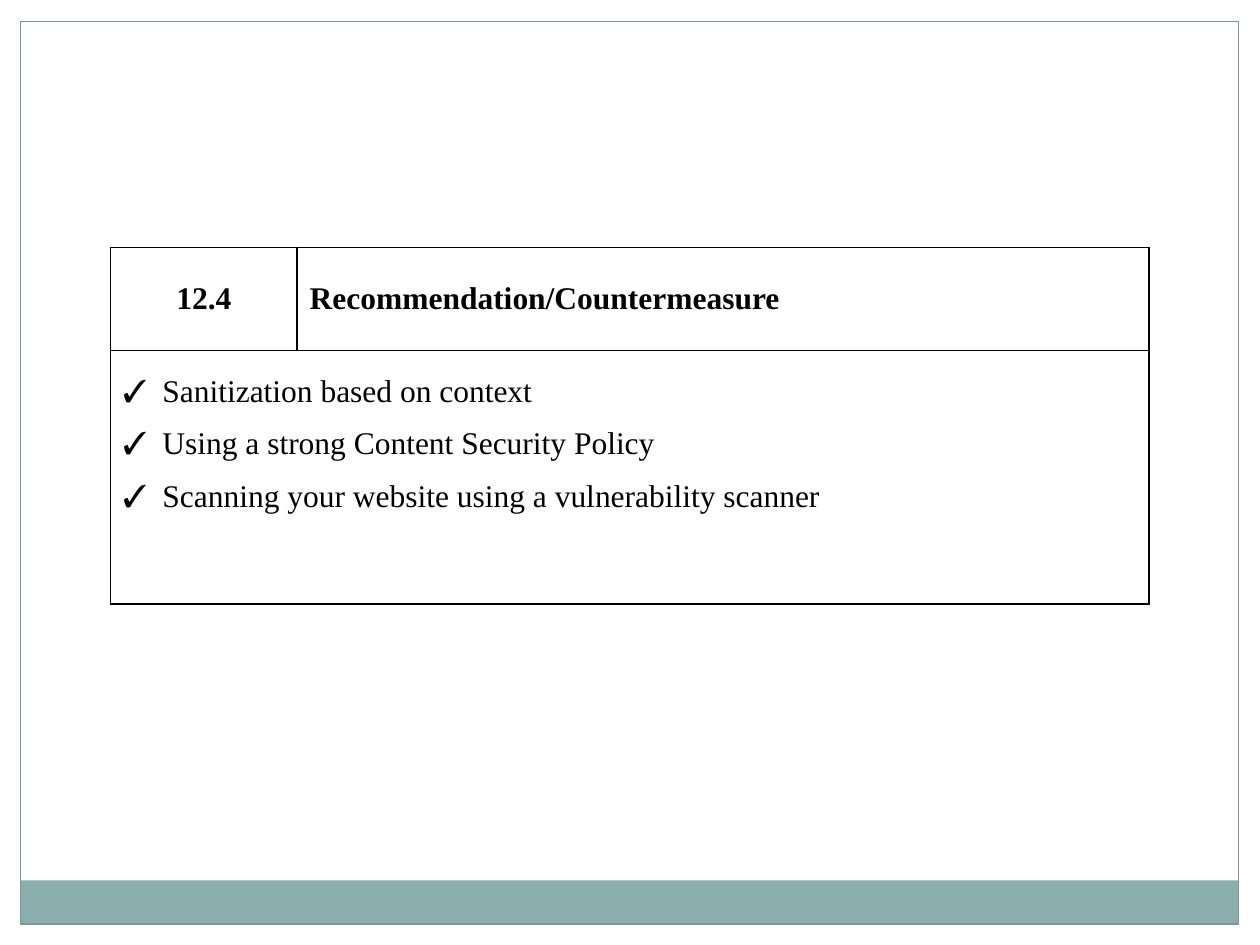
from lxml import etree
from pptx import Presentation
from pptx.dml.color import RGBColor
from pptx.enum.shapes import MSO_SHAPE
from pptx.enum.text import MSO_ANCHOR, PP_ALIGN
from pptx.oxml.ns import qn
from pptx.util import Cm, Pt

RECTANGLE = MSO_SHAPE.RECTANGLE
CENTER, LEFT = PP_ALIGN.CENTER, PP_ALIGN.LEFT
MIDDLE, TOP = MSO_ANCHOR.MIDDLE, MSO_ANCHOR.TOP

# Content
SECTION_NUMBER = "12.4"
SECTION_TITLE = "Recommendation/Countermeasure"
COUNTERMEASURES = [
    "Sanitization based on context",
    "Using a strong Content Security Policy",
    "Scanning your website using a vulnerability scanner",
]

COLORS = {"page": "FFFFFF", "band": "8CADAE", "frame": "7C999A", "ink": "000000"}
FONT = "Times New Roman"
PAGE_WIDTH, PAGE_HEIGHT = Cm(25.4), Cm(19.05)
MARGIN = Cm(0.43)
COLUMN_WIDTHS = [Cm(3.76), Cm(17.17)]
ROW_HEIGHTS = [Cm(2.08), Cm(5.11)]
BULLET_INDENT = Cm(0.79)

# Page margins and bottom band: left, top, width, height, color
PANELS = [
    (0, 0, PAGE_WIDTH, MARGIN, "page"),
    (PAGE_WIDTH - MARGIN, 0, MARGIN, PAGE_HEIGHT, "page"),
    (0, 0, MARGIN, PAGE_HEIGHT, "page"),
    (Cm(0.42), Cm(17.75), Cm(24.54), Cm(0.87), "band"),
]


def rgb(name):
    return RGBColor.from_string(COLORS[name])


def add_rectangle(left, top, width, height, fill=None, line=None):
    rectangle = slide.shapes.add_shape(RECTANGLE, left, top, width, height)
    rectangle.shadow.inherit = False
    if fill:
        rectangle.fill.solid()
        rectangle.fill.fore_color.rgb = rgb(fill)
    else:
        rectangle.fill.background()
    if line:
        rectangle.line.color.rgb = rgb(line)
        rectangle.line.width = Pt(0.75)
    else:
        rectangle.line.fill.background()


def add_bullet(paragraph):
    properties = paragraph._p.get_or_add_pPr()
    properties.set("marL", str(BULLET_INDENT))
    properties.set("indent", str(-BULLET_INDENT))
    etree.SubElement(properties, qn("a:buFont"), typeface=FONT)
    etree.SubElement(properties, qn("a:buChar"), char="✓")


def add_borders(cell):
    properties = cell._tc.get_or_add_tcPr()
    for position, side in enumerate(("lnL", "lnR", "lnT", "lnB")):
        line = etree.Element(qn(f"a:{side}"), w=str(Pt(1)))
        fill = etree.SubElement(line, qn("a:solidFill"))
        etree.SubElement(fill, qn("a:srgbClr"), val=COLORS["ink"])
        properties.insert(position, line)


def fill_cell(cell, lines, anchor, align=LEFT, bold=False, bulleted=False):
    cell.vertical_anchor = anchor
    cell.text_frame.text = "\n".join(lines)
    for paragraph in cell.text_frame.paragraphs:
        paragraph.alignment = align
        if bulleted:
            add_bullet(paragraph)
            paragraph.line_spacing = 1.5
        for run in paragraph.runs:
            run.font.name = FONT
            run.font.size = Pt(18)
            run.font.bold = bold
            run.font.color.rgb = rgb("ink")


prs = Presentation()
prs.slide_width, prs.slide_height = PAGE_WIDTH, PAGE_HEIGHT
slide = prs.slides.add_slide(prs.slide_layouts[6])

# Margins, band and page frame
for *place, color in PANELS:
    add_rectangle(*place, fill=color)
add_rectangle(Cm(0.42), MARGIN, Cm(24.55), Cm(18.2), line="frame")

# Recommendation table
table = slide.shapes.add_table(
    2, 2, Cm(2.23), Cm(4.99), sum(COLUMN_WIDTHS), sum(ROW_HEIGHTS)
).table
for column, width in zip(table.columns, COLUMN_WIDTHS):
    column.width = width
for row, height in zip(table.rows, ROW_HEIGHTS):
    row.height = height
for cell in table.iter_cells():
    cell.fill.solid()
    cell.fill.fore_color.rgb = rgb("page")
    add_borders(cell)
table.cell(1, 0).merge(table.cell(1, 1))

fill_cell(table.cell(0, 0), [SECTION_NUMBER], MIDDLE, CENTER, bold=True)
fill_cell(table.cell(0, 1), [SECTION_TITLE], MIDDLE, bold=True)
fill_cell(table.cell(1, 0), COUNTERMEASURES, TOP, bulleted=True)

prs.save("out.pptx")
